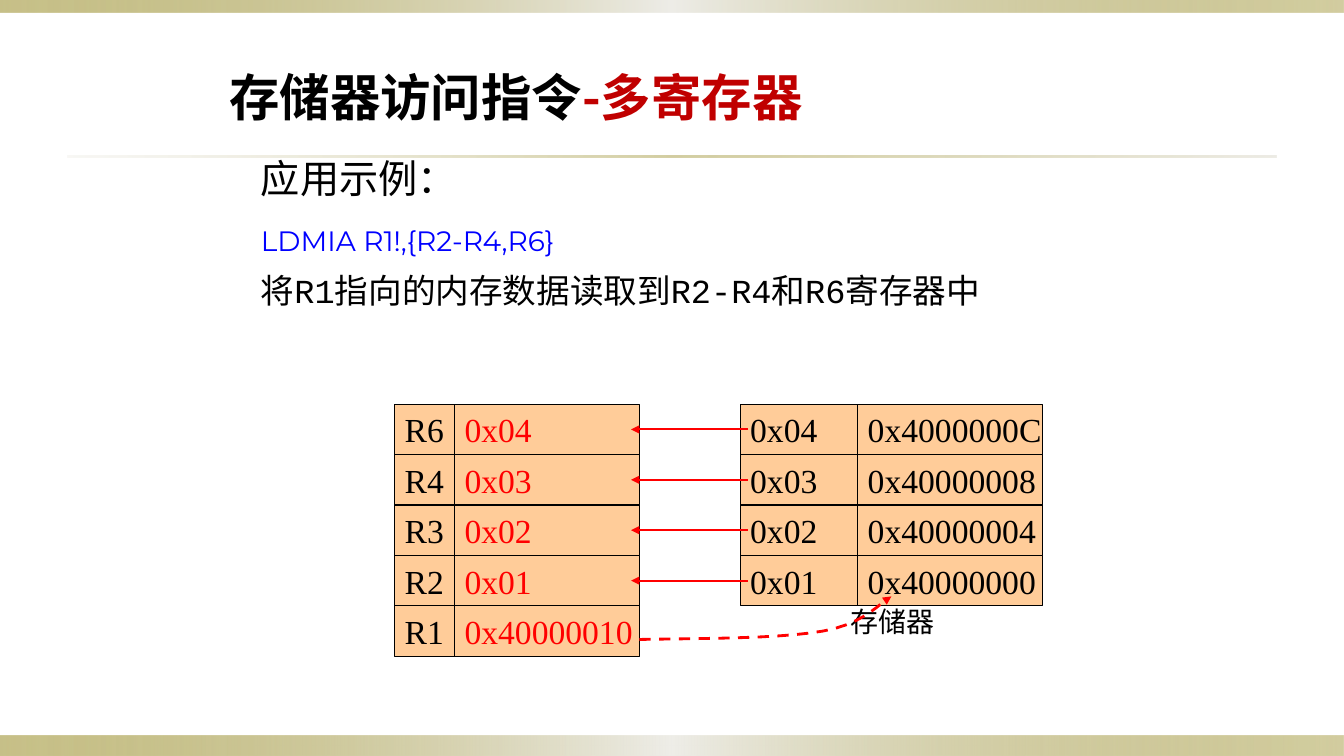
from typing import NamedTuple

from lxml import etree
from pptx import Presentation
from pptx.dml.color import RGBColor
from pptx.enum.dml import MSO_LINE
from pptx.enum.shapes import MSO_CONNECTOR, MSO_SHAPE
from pptx.enum.text import MSO_ANCHOR, MSO_AUTO_SIZE, PP_ALIGN
from pptx.oxml.ns import qn
from pptx.util import Pt

RECTANGLE = MSO_SHAPE.RECTANGLE
STRAIGHT = MSO_CONNECTOR.STRAIGHT
DASH = MSO_LINE.DASH
MIDDLE = MSO_ANCHOR.MIDDLE
GROW = MSO_AUTO_SIZE.SHAPE_TO_FIT_TEXT
LEFT, JUSTIFY = PP_ALIGN.LEFT, PP_ALIGN.JUSTIFY

EMU_PER_PX = 9525  # 96 px to the inch
COLORS = {
    "black": "000000", "red": "FF0000", "title_red": "C00000", "code": "0000FF",
    "cell": "FFCC99", "olive": "918415", "pale": "EEEDE8", "rule": "DCD9CC",
}
CJK_FONT = "Noto Sans CJK SC"


class Box(NamedTuple):
    left: int
    top: int
    width: int
    height: int


class Run(NamedTuple):
    text: str
    size: int
    font: str
    color: str = "black"
    bold: bool = False


class Paragraph(NamedTuple):
    runs: list[Run]
    space_before: int = 0
    align: PP_ALIGN = LEFT


class Stop(NamedTuple):
    percent: int
    color: str
    alpha: int


class Band(NamedTuple):
    box: Box
    stops: list[Stop]


class Column(NamedTuple):
    left: int
    width: int
    color: str
    values: list[str]


EDGE_STOPS = [Stop(0, "olive", 50), Stop(50, "pale", 100), Stop(100, "olive", 40)]
RULE_STOPS = [Stop(0, "rule", 20), Stop(50, "olive", 40), Stop(100, "rule", 50)]
BANDS = [
    Band(Box(0, 701, 1280, 19), EDGE_STOPS),
    Band(Box(0, 0, 1280, 12), EDGE_STOPS),
    Band(Box(64, 148, 1152, 2), RULE_STOPS),
]

TITLE = [Paragraph([
    Run("存储器访问指令", 36, "Arial", bold=True),
    Run("-多寄存器", 36, CJK_FONT, "title_red", True),
])]
EXAMPLE = [
    Paragraph([Run("应用示例：", 28, "Noto Sans CJK JP")], align=JUSTIFY),
    Paragraph([Run("LDMIA R1!,{R2-R4,R6}", 20, "Montserrat", "code")], 16),
    Paragraph([Run("将R1指向的内存数据读取到R2-R4和R6寄存器中", 24, "Courier New")], 9),
]

ROW_TOP, ROW_HEIGHT = 385, 48
WORDS = ["0x04", "0x03", "0x02", "0x01"]
COLUMNS = [
    Column(376, 57, "black", ["R6", "R4", "R3", "R2", "R1"]),
    Column(433, 176, "red", WORDS + ["0x40000010"]),
    Column(705, 112, "black", WORDS),
    Column(817, 176, "black", ["0x4000000C", "0x40000008", "0x40000004", "0x40000000"]),
]
ARROW_HEAD_X, ARROW_TAIL_X = 601, 712

# Two cubic curves from R1 to the memory, sharing their middle point
POINTER = [(609, 609), (677, 608), (745, 608), (784, 601),
           (825, 594), (841, 571), (849, 568)]
CURVE_STEPS = 10


def px(length: float) -> int:
    return round(length * EMU_PER_PX)


def rgb(name: str) -> RGBColor:
    return RGBColor.from_string(COLORS[name])


def write(shape, paragraphs: list[Paragraph], wrap: bool = True) -> None:
    frame = shape.text_frame
    frame.word_wrap = wrap
    for index, item in enumerate(paragraphs):
        paragraph = frame.add_paragraph() if index else frame.paragraphs[0]
        paragraph.alignment = item.align
        if item.space_before:
            paragraph.space_before = Pt(item.space_before)
        for part in item.runs:
            run = paragraph.add_run()
            run.text = part.text
            font = run.font
            font.size, font.name, font.bold = Pt(part.size), part.font, part.bold
            font.color.rgb = rgb(part.color)
            east_asian = etree.Element(qn("a:ea"), typeface=CJK_FONT)
            run._r.rPr.find(qn("a:latin")).addnext(east_asian)


def add_text(slide, box: Box, paragraphs: list[Paragraph]):
    text = slide.shapes.add_textbox(*map(px, box))
    write(text, paragraphs)
    text.text_frame.auto_size = GROW
    return text


def add_rectangle(slide, box: Box):
    rectangle = slide.shapes.add_shape(RECTANGLE, *map(px, box))
    rectangle.shadow.inherit = False
    return rectangle


def add_band(slide, band: Band) -> None:
    rectangle = add_rectangle(slide, band.box)
    rectangle.line.fill.background()
    rectangle.fill.gradient()
    rectangle.fill.gradient_angle = 0
    stop_list = rectangle._element.spPr.find(qn("a:gradFill")).find(qn("a:gsLst"))
    for old_stop in list(stop_list):
        stop_list.remove(old_stop)
    for stop in band.stops:
        node = etree.SubElement(stop_list, qn("a:gs"), pos=str(stop.percent * 1000))
        color = etree.SubElement(node, qn("a:srgbClr"), val=COLORS[stop.color])
        etree.SubElement(color, qn("a:alpha"), val=str(stop.alpha * 1000))


def add_column(slide, column: Column) -> None:
    for row, value in enumerate(column.values):
        top = ROW_TOP + row * ROW_HEIGHT
        cell = add_rectangle(slide, Box(column.left, top, column.width, ROW_HEIGHT))
        cell.fill.solid()
        cell.fill.fore_color.rgb = rgb("cell")
        cell.line.color.rgb = rgb("black")
        cell.line.width = Pt(0.75)
        run = Run(value, 24, "Times New Roman", column.color)
        write(cell, [Paragraph([run])], wrap=False)
        cell.text_frame.vertical_anchor = MIDDLE


def style_arrow(arrow, width: float, end: str) -> None:
    arrow.line.color.rgb = rgb("red")
    arrow.line.width = Pt(width)
    etree.SubElement(arrow.line._get_or_add_ln(), qn(end), type="triangle")


def add_load_arrow(slide, y: int) -> None:
    ends = map(px, (ARROW_HEAD_X, y, ARROW_TAIL_X, y))
    arrow = slide.shapes.add_connector(STRAIGHT, *ends)
    style_arrow(arrow, 1.5, "a:headEnd")
    etree.SubElement(arrow._element.spPr, qn("a:effectLst"))


def curve_points(controls: list[tuple[int, int]]) -> list[tuple[int, int]]:
    points = []
    for first in range(0, len(controls) - 1, 3):
        curve = controls[first:first + 4]
        for step in range(1, CURVE_STEPS + 1):
            t = step / CURVE_STEPS
            weights = ((1 - t) ** 3, 3 * t * (1 - t) ** 2, 3 * t * t * (1 - t), t ** 3)
            x, y = (sum(w * p[axis] for w, p in zip(weights, curve)) for axis in (0, 1))
            points.append((px(x), px(y)))
    return points


def add_pointer(slide) -> None:
    builder = slide.shapes.build_freeform(*map(px, POINTER[0]))
    builder.add_line_segments(curve_points(POINTER), close=False)
    pointer = builder.convert_to_shape()
    pointer.shadow.inherit = False
    pointer.fill.background()
    pointer.line.dash_style = DASH
    style_arrow(pointer, 2, "a:tailEnd")


def main() -> None:
    deck = Presentation()
    deck.slide_width, deck.slide_height = px(1280), px(720)
    slide = deck.slides.add_slide(deck.slide_layouts[6])

    # Edge bands and title rule
    for band in BANDS:
        add_band(slide, band)
    add_text(slide, Box(209, 58, 612, 126), TITLE)

    # Registers and memory
    for column in COLUMNS:
        add_column(slide, column)
    memory = add_text(slide, Box(801, 568, 104, 48), [Paragraph([Run("存储器", 20, "Cabin")])])
    memory.text_frame.word_wrap = False
    memory.text_frame.vertical_anchor = MIDDLE

    # Data flow
    add_pointer(slide)
    for row in range(len(WORDS)):
        add_load_arrow(slide, ROW_TOP + row * ROW_HEIGHT + ROW_HEIGHT // 2)

    # Instruction and its meaning
    add_text(slide, Box(239, 142, 854, 180), EXAMPLE)
    deck.save("out.pptx")


if __name__ == "__main__":
    main()
